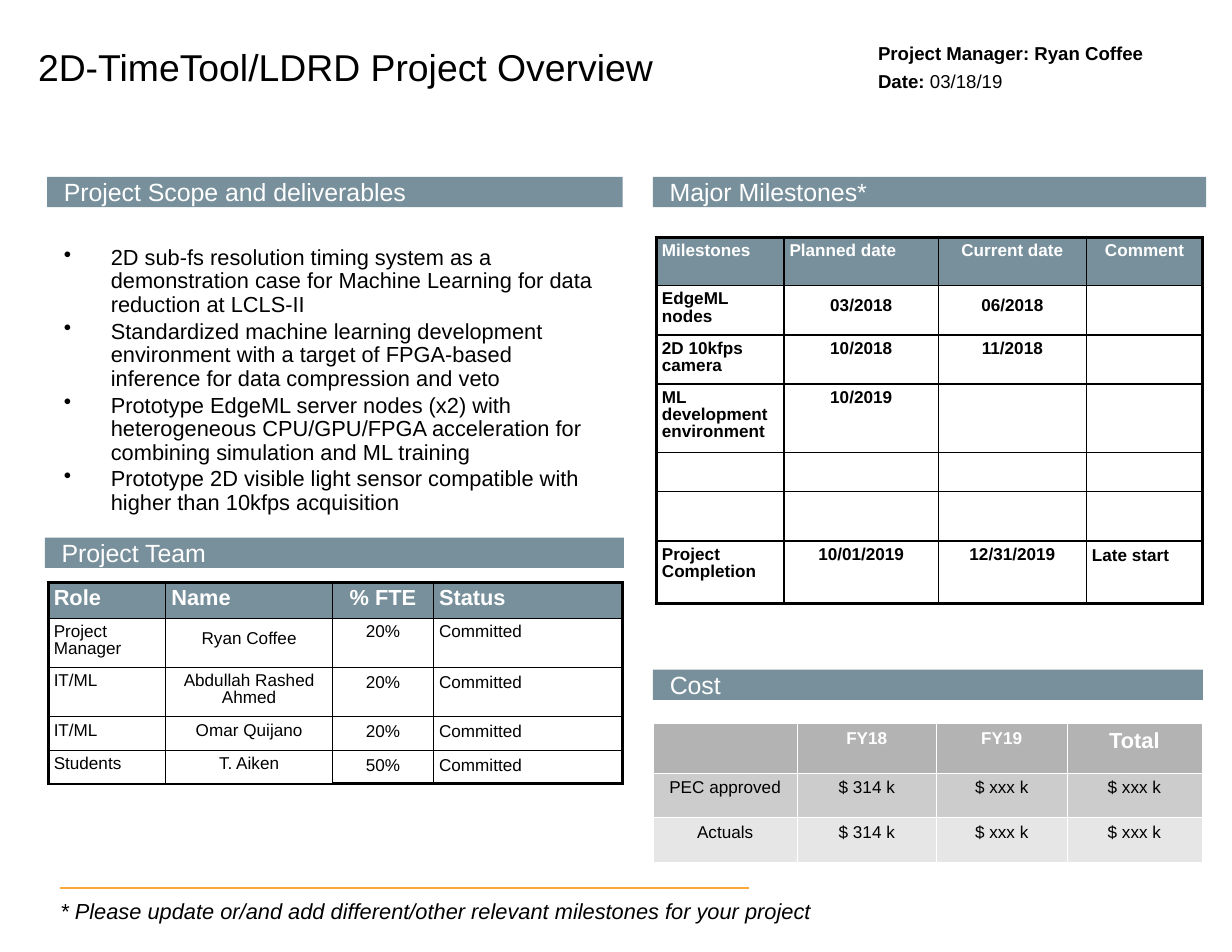
from dataclasses import dataclass

from lxml.etree import SubElement
from pptx import Presentation
from pptx.dml.color import RGBColor
from pptx.enum.shapes import MSO_CONNECTOR, MSO_SHAPE
from pptx.enum.text import MSO_ANCHOR, PP_ALIGN
from pptx.oxml.ns import qn
from pptx.util import Inches, Pt


@dataclass(frozen=True)
class Theme:
    face: str = "Arial"
    ink: str = "000000"
    paper: str = "FFFFFF"
    slate: str = "78909C"
    amber: str = "FEA839"
    grays: tuple = ("B3B3B3", "CCCCCC", "E6E6E6")
    title: int = 24
    band: int = 16
    body: int = 14
    label: int = 12
    cell: int = 11
    thin: float = 0.96
    thick: float = 2.21
    hair: float = 0.06


ALIGN = {"l": PP_ALIGN.LEFT, "c": PP_ALIGN.CENTER}
# Paragraph spacing by name
GAPS = {
    "head": dict(line_spacing=0.9, space_before=Pt(4.2), space_after=Pt(1.4)),
    "tight": dict(line_spacing=0.9, space_before=Pt(3.3), space_after=Pt(1.1)),
    "list": dict(line_spacing=0.9, space_before=Pt(2.1)),
    "loose": dict(line_spacing=1.25),
    "plain": {},
}


def apply(item, **vals):
    for name, val in vals.items():
        setattr(item, name, val)


def inset(item, left, top, right, base):
    apply(item, margin_left=Inches(left), margin_top=Inches(top),
          margin_right=Inches(right), margin_bottom=Inches(base))


class Page:
    def __init__(self, deck, theme):
        self.theme = theme
        self.slide = deck.slides.add_slide(deck.slide_layouts[5])
        self.shapes = self.slide.shapes

    def words(self, para, text, size, color=None, bold=False, italic=False):
        run = para.add_run()
        run.text = text
        apply(run.font, name=self.theme.face, size=Pt(size), bold=bold, italic=italic)
        run.font.color.rgb = RGBColor.from_string(color or self.theme.ink)

    def title(self, text, *at):
        box = self.shapes.title
        apply(box, **dict(zip(("left", "top", "width", "height"), map(Inches, at))))
        frame = box.text_frame
        inset(frame, 0.11, 0.06, 0.11, 0.06)
        apply(frame, word_wrap=True, vertical_anchor=MSO_ANCHOR.MIDDLE)
        para = frame.paragraphs[0]
        para.alignment = PP_ALIGN.LEFT
        self.words(para, text, self.theme.title)

    def band(self, text, *at):
        bar = self.shapes.add_shape(MSO_SHAPE.RECTANGLE, *map(Inches, at))
        bar.shadow.inherit = False
        bar.fill.solid()
        bar.fill.fore_color.rgb = RGBColor.from_string(self.theme.slate)
        bar.line.fill.background()
        frame = bar.text_frame
        inset(frame, 0.15, 0, 0.11, 0)
        apply(frame, word_wrap=True, vertical_anchor=MSO_ANCHOR.MIDDLE)
        para = frame.paragraphs[0]
        para.alignment = PP_ALIGN.LEFT
        self.words(para, text, self.theme.band, self.theme.paper)

    def text(self, at, lines, size, pad, gap="plain", bullet=False, wrap=True):
        """Each line is a list of (text, font settings) runs."""
        frame = self.shapes.add_textbox(*map(Inches, at)).text_frame
        inset(frame, *pad)
        frame.word_wrap = wrap
        for i, runs in enumerate(lines):
            para = frame.add_paragraph() if i else frame.paragraphs[0]
            apply(para, **GAPS[gap])
            if bullet:
                props = para._p.get_or_add_pPr()
                props.set("marL", str(Inches(0.42)))
                props.set("indent", str(-Inches(0.42)))
                SubElement(props, qn("a:buChar")).set("char", "•")
            for part, style in runs:
                self.words(para, part, size, **style)

    def rule(self, x, y, end):
        line = self.shapes.add_connector(
            MSO_CONNECTOR.STRAIGHT, Inches(x), Inches(y), Inches(end), Inches(y))
        line.line.width = Pt(1)
        line.line.color.rgb = RGBColor.from_string(self.theme.amber)
        SubElement(line._element.spPr, qn("a:effectLst"))

    def edge(self, cell, side, color, width):
        line = SubElement(cell._tc.get_or_add_tcPr(), qn(f"a:ln{side}"))
        line.set("w", str(Pt(width)))
        fill = SubElement(line, qn("a:solidFill"))
        SubElement(fill, qn("a:srgbClr")).set("val", color)

    def grid(self, at, cols, rows, data, fills, line, look, pad):
        """look(r, c) gives align, gap, size, color and bold;
        line(r, c, side) gives color and width."""
        frame = self.shapes.add_table(len(rows), len(cols), Inches(at[0]), Inches(at[1]),
                                      Inches(sum(cols)), Inches(sum(rows)))
        table = frame.table
        apply(table, first_row=False, horz_banding=False)
        for col, size in zip(table.columns, cols):
            col.width = Inches(size)
        for row, size in zip(table.rows, rows):
            row.height = Inches(size)
        for r, texts in enumerate(data):
            for c, text in enumerate(texts):
                cell = table.cell(r, c)
                inset(cell, *pad)
                for side in "LRTB":
                    self.edge(cell, side, *line(r, c, side))
                cell.fill.solid()
                cell.fill.fore_color.rgb = RGBColor.from_string(fills[r])
                align, gap, *style = look(r, c)
                para = cell.text_frame.paragraphs[0]
                apply(para, alignment=ALIGN[align], **GAPS[gap])
                if text:
                    self.words(para, text, *style)
                else:
                    # Keeps an empty cell from stretching its row
                    SubElement(para._p, qn("a:endParaRPr")).set("sz", str(style[0] * 100))

    def framed(self, at, cols, rows, data, head, body, size, gaps, bare=()):
        """Table with a slate head row and a thick outer frame."""
        t = self.theme
        last = (len(rows) - 1, len(cols) - 1)

        def line(r, c, side):
            outer = {"L": c == 0, "T": r == 0, "R": c == last[1],
                     "B": r == last[0] and c not in bare}[side]
            return t.ink, t.thick if outer else t.thin

        def look(r, c):
            if r == 0:
                return head[c], "head", size, t.paper, True
            return body[c], gaps.get((r, c), "tight"), t.cell, t.ink, size == t.cell

        fills = [t.slate] + [t.paper] * last[0]
        self.grid(at, cols, rows, data, fills, line, look, (0.05,) * 4)

    def cost(self, at, cols, rows, data):
        t = self.theme

        def look(r, c):
            size = t.body if (r, c) == (0, 3) else t.cell
            return "c", "plain", size, t.ink if r else t.paper, r == 0

        self.grid(at, cols, rows, data, t.grays, lambda r, c, side: (t.paper, t.hair),
                  look, (0.1, 0.05, 0.1, 0.05))


def main():
    theme = Theme()
    deck = Presentation()
    apply(deck, slide_width=Inches(11), slide_height=Inches(8.5))
    page = Page(deck, theme)
    bold = dict(bold=True)

    # Heading
    page.rule(0.54, 7.93, 6.69)
    page.title("2D-TimeTool/LDRD Project Overview", 0.23, 0.34, 7.61, 0.51)
    page.text((7.84, 0.32, 4.76, 0.5),
              [[("Project Manager: Ryan Coffee", bold)], [("Date: ", bold), ("03/18/19", {})]],
              theme.label, (0, 0, 0.11, 0), "loose")

    # Section bands
    for name, x, y, wide in (("Project Scope and deliverables", 0.42, 1.58, 5.14),
                             ("Major Milestones*", 5.83, 1.58, 4.94),
                             ("Project Team", 0.4, 4.8, 5.17),
                             ("Cost", 5.83, 5.98, 4.91)):
        page.band(name, x, y, wide, 0.27)

    # Scope
    scope = (
        "2D sub-fs resolution timing system as a demonstration case for Machine Learning for data reduction at LCLS-II",
        "Standardized machine learning development environment with a target of FPGA-based inference for data compression and veto",
        "Prototype EdgeML server nodes (x2) with heterogeneous CPU/GPU/FPGA acceleration for combining simulation and ML training",
        "Prototype 2D visible light sensor compatible with higher than 10kfps acquisition")
    page.text((0.46, 2.14, 5.03, 2.51), [[(item, {})] for item in scope], theme.body,
              (0.11, 0.06, 0.11, 0.06), "list", bullet=True)

    # Cost
    page.cost((5.83, 6.46), (1.29, 1.24, 1.17, 1.2), (0.44, 0.4, 0.4), (
        ("", "FY18", "FY19", "Total"),
        ("PEC approved", "$ 314 k", "$ xxx k", "$ xxx k"),
        ("Actuals", "$ 314 k", "$ xxx k", "$ xxx k")))

    # Team
    gaps = {(r, c): "plain" for r in (2, 3, 4) for c in (2, 3)}
    gaps[1, 1] = "loose"
    page.framed((0.43, 5.2), (1.05, 1.49, 0.9, 1.69), (0.32, 0.44, 0.44, 0.3, 0.3), (
        ("Role", "Name", "% FTE", "Status"),
        ("Project Manager", "Ryan Coffee", "20%", "Committed"),
        ("IT/ML", "Abdullah Rashed Ahmed", "20%", "Committed"),
        ("IT/ML", "Omar Quijano", "20%", "Committed"),
        ("Students", "T. Aiken", "50%", "Committed")),
        "llcl", "lccl", theme.body, gaps, bare=(0, 1))

    # Milestones
    page.framed((5.86, 2.12), (1.14, 1.38, 1.32, 1.04),
                (0.43, 0.44, 0.44, 0.61, 0.35, 0.44, 0.56), (
        ("Milestones", "Planned date", "Current date", "Comment"),
        ("EdgeML nodes", "03/2018", "06/2018", ""),
        ("2D 10kfps camera", "10/2018", "11/2018", ""),
        ("ML development environment", "10/2019", "", ""),
        ("",) * 4,
        ("",) * 4,
        ("Project Completion", "10/01/2019", "12/31/2019", "Late start")),
        "llcc", "lccl", theme.cell, {(1, 1): "loose", (1, 2): "loose", (6, 3): "plain"})

    # Footnote
    note = "* Please update or/and add different/other relevant milestones for your project"
    page.text((0.44, 7.97, 6.91, 0.33), [[(note, dict(italic=True))]], theme.body,
              (0.1, 0.05, 0.1, 0.05), wrap=False)
    deck.save("out.pptx")


if __name__ == "__main__":
    main()
